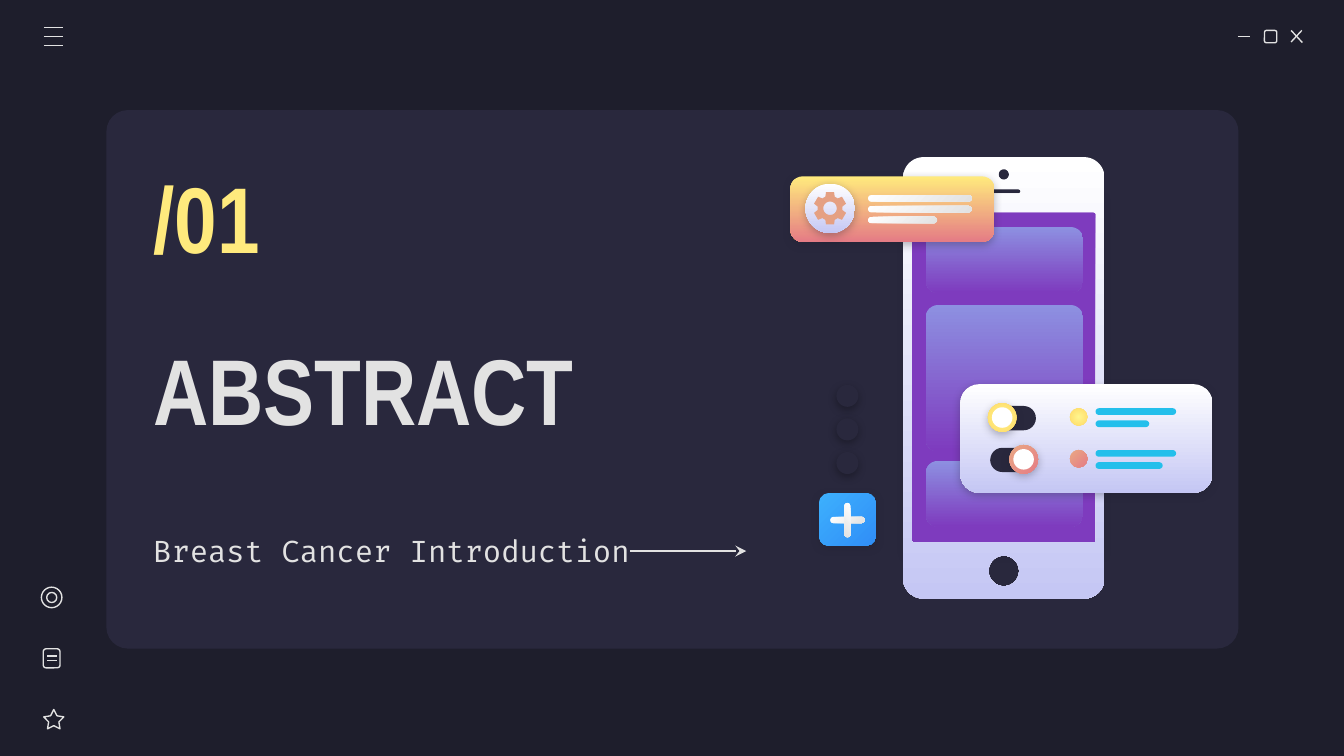
from math import cos, radians, sin

from lxml import etree
from pptx import Presentation
from pptx.dml.color import RGBColor
from pptx.enum.shapes import MSO_CONNECTOR, MSO_SHAPE
from pptx.enum.text import MSO_ANCHOR, MSO_AUTO_SIZE, PP_ALIGN
from pptx.oxml.ns import qn
from pptx.util import Pt

ROUND = MSO_SHAPE.ROUNDED_RECTANGLE
OVAL = MSO_SHAPE.OVAL
STAR = MSO_SHAPE.STAR_5_POINT
LINE = MSO_CONNECTOR.STRAIGHT

COL = {
    "back": "1E1E2C", "card": "29283D", "light": "E2E2E2", "white": "FFFFFF",
    "yellow": "FFEA7D", "lemon": "FFF68E", "gold": "FFD966",
    "peach": "E9A984", "coral": "E57C85", "gear": "E5A083",
    "purple": "7E3BBE", "violet": "8D90E1", "lilac": "C5C7F4",
    "cyan": "24BFEB", "sky": "3DB0FD", "blue": "308EF7", "black": "000000",
}
DOWN, SLANT = 270, 315  # gradient angles, counter-clockwise
FROST = ("white", "lilac", DOWN)
GLASS = ("violet", "purple", DOWN)
CHALK = ("white", "light", SLANT)
SUN = ("lemon", "gold", None)  # None makes a radial gradient
ROSE = ("peach", "coral", SLANT)


def rgb(name):
    return RGBColor.from_string(COL[name])


def sub(parent, tag, **attrs):
    return etree.SubElement(parent, qn(tag), **attrs)


def paint(shape, fill, shade=None):
    """Fill with a colour name or a gradient; shade names a shadow colour."""
    shape.line.fill.background()
    shape.shadow.inherit = False
    if isinstance(fill, str):
        shape.fill.solid()
        shape.fill.fore_color.rgb = rgb(fill)
    else:
        start, end, angle = fill
        shape.fill.gradient()
        for stop, name, place in zip(shape.fill.gradient_stops, (start, end), (0, 1)):
            stop.color.rgb, stop.position = rgb(name), place
        if angle is None:
            lin = shape.element.spPr.find(".//" + qn("a:lin"))
            radial = etree.Element(qn("a:path"), path="circle")
            sub(radial, "a:fillToRect", l="50000", t="50000", r="50000", b="50000")
            lin.getparent().replace(lin, radial)
        else:
            shape.fill.gradient_angle = angle
    if shade:
        glow = sub(shape.element.spPr.find(qn("a:effectLst")), "a:outerShdw",
                   blurRad=str(Pt(4.5)), dist=str(Pt(1.5)), dir="5400000",
                   algn="bl", rotWithShape="0")
        tint = sub(glow, "a:srgbClr", val=COL[shade])
        sub(tint, "a:alpha", val="30000")
    return shape


def add(slide, kind, x, y, w, h, adj=None):
    shape = slide.shapes.add_shape(kind, Pt(x), Pt(y), Pt(w), Pt(h))
    if adj is not None:
        shape.adjustments[0] = adj
    return shape


def block(slide, x, y, w, h, adj, fill, shade=None):
    return paint(add(slide, ROUND, x, y, w, h, adj), fill, shade)


def disc(slide, x, y, size, fill, shade=None):
    return paint(add(slide, OVAL, x, y, size, size), fill, shade)


def icon(slide, kind, x, y, w, h, adj=None):
    shape = add(slide, kind, x, y, w, h, adj)
    shape.fill.background()
    shape.shadow.inherit = False
    shape.line.color.rgb = rgb("light")
    shape.line.width = Pt(0.75)


def rule(slide, x1, y1, x2, y2):
    line = slide.shapes.add_connector(LINE, Pt(x1), Pt(y1), Pt(x2), Pt(y2))
    line.line.color.rgb = rgb("light")
    line.line.width = Pt(0.75)
    sub(line.element.spPr, "a:effectLst")
    return line


def loop(x, y, w, h, r):
    """Points of a rounded box; a circle when r is half its side."""
    ends = ((x + w - r, y + h - r), (x + r, y + h - r), (x + r, y + r), (x + w - r, y + r))
    return [(cx + r * cos(radians(a)), cy + r * sin(radians(a)))
            for k, (cx, cy) in enumerate(ends)
            for a in range(90 * k, 90 * k + 91, 6)]


def outline(slide, loops):
    pts = [[(Pt(x), Pt(y)) for x, y in ring] for ring in loops]
    form = slide.shapes.build_freeform(*pts[0][0])
    form.add_line_segments(pts[0][1:])
    for ring in pts[1:]:
        form.move_to(*ring[0])
        form.add_line_segments(ring[1:])
    return form.convert_to_shape()


def write(shape, text, x, y, w, h, size, font, color, bold=False):
    shape.left, shape.top, shape.width, shape.height = Pt(x), Pt(y), Pt(w), Pt(h)
    frame = shape.text_frame
    frame.text = text
    frame.word_wrap = True
    frame.auto_size = MSO_AUTO_SIZE.NONE
    frame.vertical_anchor = MSO_ANCHOR.MIDDLE
    frame.margin_left = frame.margin_right = Pt(7.2)
    frame.margin_top = frame.margin_bottom = Pt(7.2)
    para = frame.paragraphs[0]
    para.alignment = PP_ALIGN.LEFT
    face = para.runs[0].font
    face.size, face.name, face.bold = Pt(size), font, bold
    face.color.rgb = rgb(color)


def window(slide, x, y):
    """Minimise, maximise and close signs."""
    rule(slide, x, y + 3.2, x + 6.6, y + 3.2)
    icon(slide, ROUND, x + 14.2, y, 6.6, 6.6, 0.167)
    rule(slide, x + 28.5, y, x + 34.5, y + 6.5)
    rule(slide, x + 34.2, y, x + 28.5, y + 6.2)


def menu(slide, x, y):
    for k in range(3):
        rule(slide, x, y + 4.8 * k, x + 10.5, y + 4.8 * k)


def tools(slide, x, y):
    """Target, page and star icons down the left edge."""
    icon(slide, OVAL, x, y, 11, 11)
    icon(slide, OVAL, x + 2.8, y + 2.8, 5.4, 5.4)
    icon(slide, ROUND, x + 1, y + 33, 9, 10.2, 0.167)
    for top in (36.8, 39.4):
        rule(slide, x + 3, y + top, x + 8.2, y + top)
    icon(slide, STAR, x + 1.2, y + 65.5, 10.8, 10.4, 0.254)


def words(slide, x, y):
    title = slide.shapes.title
    title.element.getparent().append(title.element)  # bring above the card
    write(title, "ABSTRACT", x, y + 66, 310, 118, 50, "Arial Narrow", "light", True)
    for text, top, w, h, look in (
            ("/01", 0, 128, 66, (50, "Arial Narrow", "yellow", True)),
            ("Breast Cancer Introduction", 184, 287, 56, (16, "Fira Code", "light"))):
        box = slide.shapes.add_textbox(0, 0, 0, 0)
        write(box, text, x, y + top, w, h, *look)
    arrow = rule(slide, x + 262.5, y + 212.2, x + 324.8, y + 212.2)
    sub(arrow.line._get_or_add_ln(), "a:tailEnd", type="stealth", w="med", len="med")


def phone(slide, x, y, w, h):
    block(slide, x + 1.4, y + 21.6, w - 2.8, 189.4, 0, "purple", "back")
    for top, tall in ((37.4, 35.3), (79.2, 78.5), (162.7, 35.3)):
        block(slide, x + 12.2, y + top, 84.2, tall, 6.6 / tall, GLASS)
    # Case with openings for camera, speaker, screen and button
    mid = x + w / 2
    case = outline(slide, [
        loop(x, y, w, h, 11),
        loop(mid - 2.8, y + 6.5, 5.6, 5.6, 2.8),
        loop(mid - 9, y + 17.2, 18, 2.2, 1.1),
        loop(x + 4.6, y + 29.5, w - 9.2, 177, 1.4),
        loop(mid - 8.2, y + 213.5, 16.4, 16.4, 8.2)])
    paint(case, FROST)


def notice(slide, x, y, w, h):
    block(slide, x, y, w, h, 0.187, ("yellow", "coral", DOWN), "back")
    disc(slide, x + 8, y + 3.9, 26.5, FROST, "back")
    # Gear with six teeth
    cx, cy = x + 21.2, y + 17.1
    teeth = [(cx + r * sin(radians(60 * k + a)), cy - r * cos(radians(60 * k + a)))
             for k in range(6)
             for a, r in ((-22, 6.7), (-14, 8.9), (14, 8.9), (22, 6.7))]
    gear = outline(slide, [teeth, loop(cx - 3.6, cy - 3.6, 7.2, 7.2, 3.6)])
    paint(gear, "gear")
    for k, wide in enumerate((55.6, 55.6, 37)):
        block(slide, x + 41.5, y + 10 + 5.8 * k, wide, 3.5, 0.5, CHALK)


def panel(slide, x, y, w, h):
    """Two switches, each with a dot and two bars."""
    block(slide, x, y, w, h, 0.173, FROST, "back")
    for k, (knob, fill, short) in enumerate(((14.7, SUN, 28.8), (26.2, ROSE, 36))):
        top = y + 22.4 * k
        block(slide, x + 16, top + 11.7, 24.5, 13, 0.5, "card")
        disc(slide, x + knob, top + 10.2, 15.4, fill, "back")
        disc(slide, x + knob + 2.2, top + 12.4, 11, "white")
        disc(slide, x + 58.7, top + 12.9, 9.4, fill)
        for drop, wide in ((12.9, 43.2), (19.4, short)):
            block(slide, x + 72.4, top + drop, wide, 3.6, 0.5, "cyan")


def adder(slide, x, y, w, h):
    """Plus button with three dots above."""
    block(slide, x, y, w, h, 0.183, ("sky", "blue", SLANT), "back")
    mid = x + w / 2
    for turn in (0, 90):
        bar = block(slide, mid - 9.2, y + 12.7, 18.4, 3.4, 0.5, CHALK)
        bar.rotation = turn
    for k in range(3):
        disc(slide, mid - 5.9, y - 22 - 18 * k, 11.8, "card", "black")


def main():
    deck = Presentation()
    deck.slide_width, deck.slide_height = Pt(720), Pt(405)
    slide = deck.slides.add_slide(deck.slide_layouts[5])
    slide.background.fill.solid()
    slide.background.fill.fore_color.rgb = rgb("back")
    block(slide, 57, 59, 606.5, 288.5, 0.04, "card")
    window(slide, 663.2, 16.3)
    menu(slide, 23.5, 14.8)
    tools(slide, 22.2, 314.6)
    words(slide, 75, 83)
    phone(slide, 483.8, 84.2, 108, 236.5)
    notice(slide, 423.5, 94.5, 109.2, 35.1)
    panel(slide, 514.5, 205.8, 135, 58.2)
    adder(slide, 438.8, 264.2, 30.4, 28.2)
    deck.save("out.pptx")


if __name__ == "__main__":
    main()
